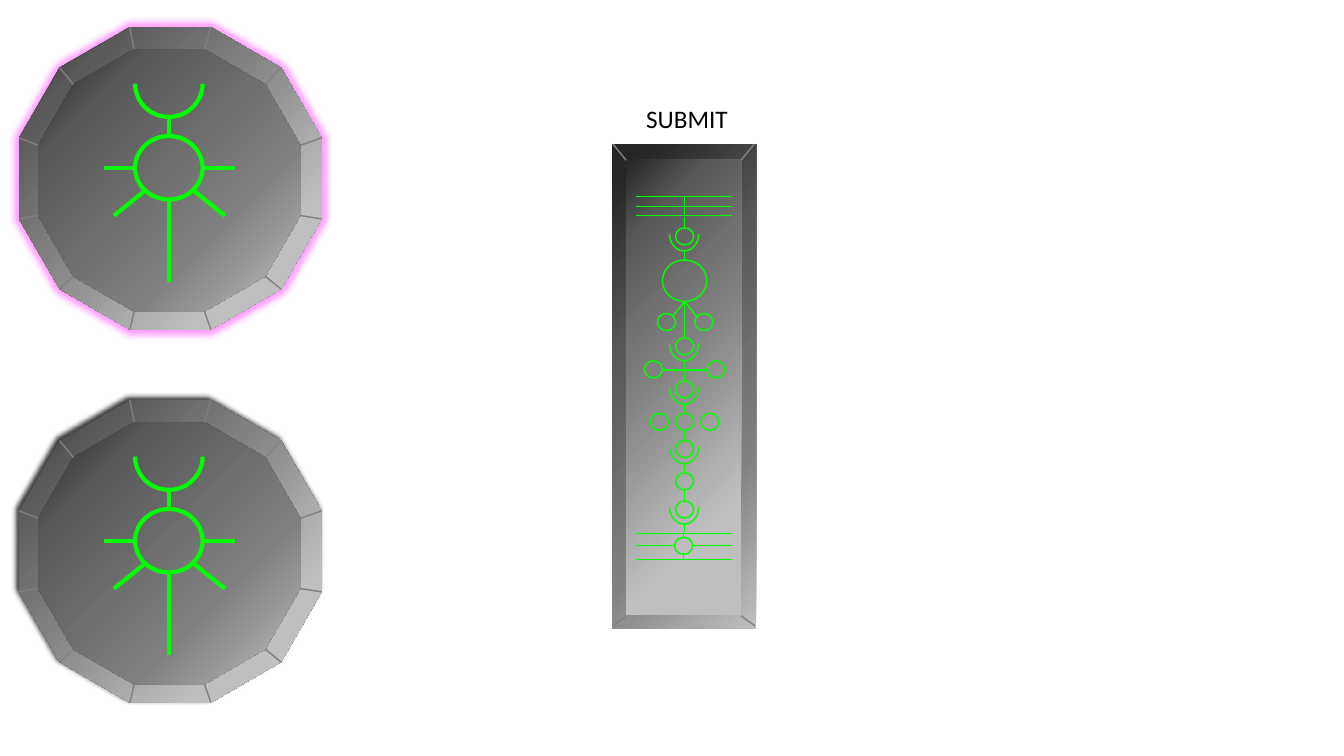
from dataclasses import dataclass

from pptx import Presentation
from pptx import util as u
from pptx.dml.color import RGBColor
from pptx.enum import shapes, text
from pptx.oxml import parse_xml
from pptx.oxml.ns import nsdecls, qn


@dataclass(frozen=True)
class Theme:
    """Colours, type and line weights of the slide."""
    font: str = "Calibri"
    label_size: int = 18
    ink: str = "000000"
    glyph: str = "00FF00"
    edge: str = "808080"
    greys: tuple = ("BFBFBF", "808080", "595959", "262626")
    thin: int = 1
    bold: int = 3


@dataclass(frozen=True)
class Box:
    """A rectangle in inches."""
    left: float
    top: float
    width: float
    height: float

    def within(self, left, top, width, height):
        """Return a box placed relative to this one."""
        return Box(self.left + left, self.top + top, width, height)


@dataclass(frozen=True)
class Shadow:
    """An outer shadow: opacity and scale in percent, lengths in points."""
    colour: str
    opacity: int
    blur: int
    distance: int = 0
    angle: int = 0
    scale: int = 100


THEME = Theme()
SHAPE = shapes.MSO_SHAPE
RADIAL = ('<a:path path="circle">'
          '<a:fillToRect l="100000" t="100000"/></a:path>')
DIAGONAL = '<a:lin ang="8100000" scaled="0"/>'


def add_line(parent, box, start, end, colour=THEME.glyph, weight=THEME.thin):
    """Draw a straight line between two points relative to box."""
    ends = [u.Inches(value) for x, y in (start, end)
            for value in (box.left + x, box.top + y)]
    line = parent.shapes.add_connector(shapes.MSO_CONNECTOR.STRAIGHT, *ends)
    line.line.color.rgb = RGBColor.from_string(colour)
    line.line.width = u.Pt(weight)
    line._element.spPr.append(parse_xml(f"<a:effectLst {nsdecls('a')}/>"))


def add_plain(parent, kind, box):
    """Add a preset shape that has no inherited shadow."""
    shape = parent.shapes.add_shape(
        kind, u.Inches(box.left), u.Inches(box.top),
        u.Inches(box.width), u.Inches(box.height))
    shape.shadow.inherit = False
    return shape


def add_outline(parent, kind, box, weight=THEME.thin):
    """Add an unfilled shape with a glyph-coloured outline."""
    shape = add_plain(parent, kind, box)
    shape.fill.background()
    shape.line.color.rgb = RGBColor.from_string(THEME.glyph)
    shape.line.width = u.Pt(weight)
    return shape


def add_cup(parent, box, weight=THEME.thin):
    """Draw a bowl open at the top that fills box."""
    across = (box.width - box.height) / 2
    upright = box.within(across, -across, box.height, box.width)
    cup = add_outline(parent, SHAPE.LEFT_BRACKET, upright, weight)
    cup.adjustments[0] = 1.06
    cup.rotation = 270


def add_stone(parent, kind, box, stops, direction):
    """Add a borderless shape with the grey gradient."""
    stone = add_plain(parent, kind, box)
    stone.line.fill.background()
    marks = "".join(
        f'<a:gs pos="{stop * 1000}"><a:srgbClr val="{grey}"/></a:gs>'
        for stop, grey in zip(stops, THEME.greys))
    stone._element.spPr.find(qn("a:prstGeom")).addnext(parse_xml(
        f'<a:gradFill {nsdecls("a")} rotWithShape="1">'
        f"<a:gsLst>{marks}</a:gsLst>{direction}</a:gradFill>"))
    return stone


def add_shadow(shape, shadow):
    """Give a shape an outer shadow."""
    scale = shadow.scale * 1000
    shape._element.spPr.find(qn("a:effectLst")).append(parse_xml(
        f'<a:outerShdw {nsdecls("a")} blurRad="{u.Pt(shadow.blur)}" '
        f'dist="{u.Pt(shadow.distance)}" dir="{shadow.angle * 60000}" '
        f'sx="{scale}" sy="{scale}" algn="ctr" rotWithShape="0">'
        f'<a:srgbClr val="{shadow.colour}">'
        f'<a:alpha val="{shadow.opacity * 1000}"/></a:srgbClr></a:outerShdw>'))


def dodecagon_corners(box):
    """Return the twelve corners of a dodecagon that fills box."""
    near, mid = 0.134, 0.366
    ring = [(mid, 0), (1 - mid, 0), (1 - near, near), (1, mid),
            (1, 1 - mid), (1 - near, 1 - near)]
    ring += [(1 - x, 1 - y) for x, y in ring]
    return [(box.left + x * box.width, box.top + y * box.height)
            for x, y in ring]


def draw_button(page, box, shadow):
    """Draw a bevelled twelve-sided button with its glyph."""
    group = page.shapes.add_group_shape()
    rim = add_stone(group, SHAPE.DODECAGON, box, (22, 58, 83, 100), RADIAL)
    add_shadow(rim, shadow)
    face = box.within(0.19, 0.22, 2.6, 2.6)
    add_stone(group, SHAPE.DODECAGON, face, (0, 32, 78, 100), RADIAL)
    page_origin = Box(0, 0, 0, 0)
    for outer, inner in zip(dodecagon_corners(box), dodecagon_corners(face)):
        add_line(group, page_origin, outer, inner, THEME.edge)

    add_cup(group, box.within(1.15, 0.56, 0.67, 0.33), THEME.bold)
    add_outline(group, SHAPE.OVAL, box.within(1.15, 1.08, 0.67, 0.63),
                THEME.bold)
    axis = 1.49
    rays = [((axis, 1.08), (axis, 0.89)), ((axis, 1.72), (axis, 2.53))]
    for side in (-1, 1):
        rays += [((axis + side * 0.33, 1.4), (axis + side * 0.65, 1.4)),
                 ((axis + side * 0.24, 1.62), (axis + side * 0.55, 1.87))]
    for start, end in rays:
        add_line(group, box, start, end, weight=THEME.bold)


def draw_panel(page, box):
    """Draw the tall bevelled panel with its column of symbols."""
    group = page.shapes.add_group_shape()
    face = box.within(0.14, 0.15, 1.14, 4.52)
    for part, stops in ((box, (0, 29, 65, 94)), (face, (21, 58, 85, 100))):
        turn = (part.width - part.height) / 2
        lying = part.within(turn, -turn, part.height, part.width)
        add_stone(group, SHAPE.RECTANGLE, lying, stops, DIAGONAL).rotation = 90
    for outer, inner in (((0.01, 0), (0.14, 0.16)), ((1.41, 0), (1.28, 0.16)),
                         ((0.01, 4.78), (0.14, 4.68)),
                         ((1.42, 4.78), (1.28, 4.68))):
        add_line(group, box, outer, inner, THEME.edge)

    axis, left, right = 0.72, 0.24, 1.19
    for y in (0.52, 0.62, 0.71, 3.86, 4.12):
        add_line(group, box, (right, y), (left, y))
    for start, end in (((left, 3.98), (0.62, 3.98)), ((0.8, 3.98), (right, 3.98)),
                       ((0.5, 2.24), (0.94, 2.24)),
                       ((axis, 1.56), (0.6, 1.71)), ((axis, 1.56), (0.84, 1.71)),
                       ((axis, 0.51), (axis, 0.71)),
                       ((0.71, 3.85), (0.71, 3.9)), ((0.71, 4.07), (0.71, 4.13))):
        add_line(group, box, start, end)

    add_outline(group, SHAPE.OVAL, box.within(0.5, 1.15, 0.44, 0.41))
    cups = {0.83: 0.11, 1.92: 0.36, 2.35: 0.11, 2.94: 0.1, 3.54: 0.11}
    beads = [(0.45, 1.68), (0.82, 1.68), (0.32, 2.15), (0.94, 2.15),
             (0.38, 2.67), (0.63, 2.67), (0.88, 2.67), (0.63, 3.26),
             (0.62, 3.9)] + [(0.63, top) for top in cups]
    for x, y in beads:
        add_outline(group, SHAPE.OVAL, box.within(x, y, 0.18, 0.17))
    for top, stem in cups.items():
        add_cup(group, box.within(axis - 0.15, top + 0.06, 0.29, 0.17))
        add_line(group, box, (axis, top - stem), (axis, top))
        add_line(group, box, (axis, top + 0.23), (axis, top + 0.31))


def draw_label(page, box, words):
    """Write the panel's label."""
    label = page.shapes.add_textbox(u.Inches(box.left), u.Inches(box.top),
                                    u.Inches(box.width), u.Inches(box.height))
    frame = label.text_frame
    frame.word_wrap = False
    frame.auto_size = text.MSO_AUTO_SIZE.SHAPE_TO_FIT_TEXT
    para = frame.paragraphs[0]
    para.text = words
    para.font.name = THEME.font
    para.font.size = u.Pt(THEME.label_size)
    para.font.color.rgb = RGBColor.from_string(THEME.ink)


deck = Presentation()
deck.slide_width, deck.slide_height = u.Inches(13.33), u.Inches(7.5)
page = deck.slides.add_slide(deck.slide_layouts[6])
draw_button(page, Box(0.19, 3.97, 3, 3), Shadow("000000", 79, 4, 3, 225))
draw_button(page, Box(0.19, 0.27, 3, 3), Shadow("FF00FF", 39, 5, scale=103))
draw_label(page, Box(6.31, 0.98, 1.02, 0.4), "SUBMIT")
draw_panel(page, Box(6.07, 1.43, 1.43, 4.81))
deck.save("out.pptx")
